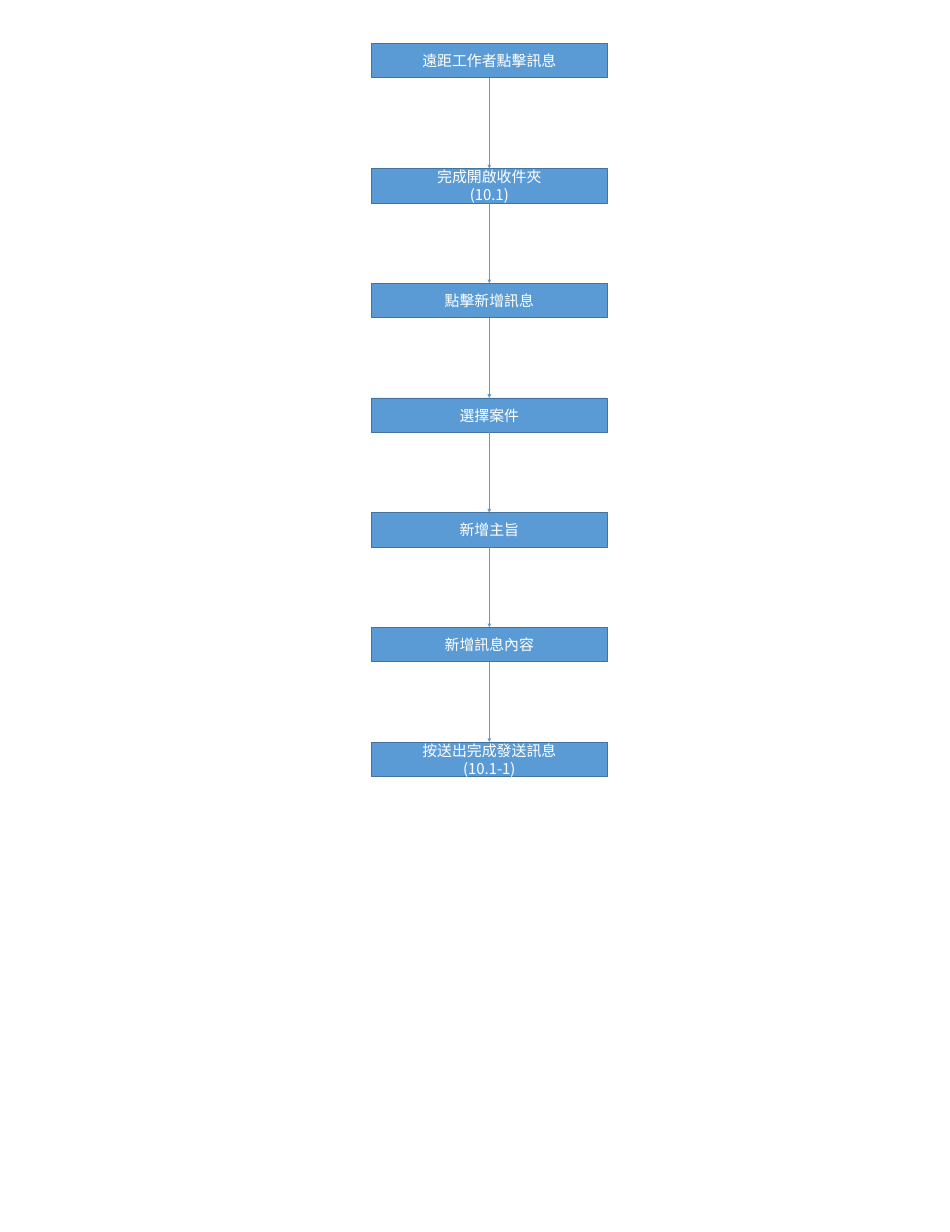
from itertools import pairwise

from lxml.etree import SubElement
from pptx import Presentation
from pptx.dml.color import RGBColor
from pptx.enum.shapes import MSO_CONNECTOR, MSO_SHAPE
from pptx.enum.text import MSO_ANCHOR, PP_ALIGN
from pptx.oxml.ns import qn
from pptx.util import Inches, Pt

COLORS = {"step": "5B9BD5", "border": "43739E", "arrow": "5B9BD5", "text": "FFFFFF"}
FONT = "Noto Sans CJK SC"
FONT_FORMAT = {"name": FONT, "size": Pt(24)}
PARAGRAPH_FORMAT = {"alignment": PP_ALIGN.CENTER, "line_spacing": Pt(28.8)}
FRAME_FORMAT = {"word_wrap": True, "vertical_anchor": MSO_ANCHOR.MIDDLE}

STEP_LEFT, STEP_WIDTH, STEP_HEIGHT = 8.31, 5.28, 0.77
START_TOP, SECOND_TOP, STEP_PITCH = 0.97, 3.77, 2.566
START = ["遠距工作者點擊訊息"]
FOLLOWING_STEPS = [
    ["完成開啟收件夾", "(10.1)"],
    ["點擊新增訊息"],
    ["選擇案件"],
    ["新增主旨"],
    ["新增訊息內容"],
    ["按送出完成發送訊息", "(10.1-1)"],
]
TOP_SITE, BOTTOM_SITE = 0, 2


def apply_format(target, values):
    for attribute, value in values.items():
        setattr(target, attribute, value)


class Flowchart:
    def __init__(self, slide, colors):
        self.slide = slide
        self.colors = {name: RGBColor.from_string(code) for name, code in colors.items()}

    def outline(self, line, color, width):
        line.color.rgb = self.colors[color]
        line.width = Pt(width)

    def step(self, top, lines):
        box = self.slide.shapes.add_shape(
            MSO_SHAPE.RECTANGLE, Inches(STEP_LEFT), Inches(top),
            Inches(STEP_WIDTH), Inches(STEP_HEIGHT))
        box.shadow.inherit = False
        box.fill.solid()
        box.fill.fore_color.rgb = self.colors["step"]
        self.outline(box.line, "border", 1)
        frame = box.text_frame
        apply_format(frame, FRAME_FORMAT)
        frame.text = "\n".join(lines)
        for paragraph in frame.paragraphs:
            apply_format(paragraph, PARAGRAPH_FORMAT)
            for run in paragraph.runs:
                self.style_run(run)
        return box

    def style_run(self, run):
        """Set the font for both Latin and East Asian characters."""
        apply_format(run.font, FONT_FORMAT)
        run.font.color.rgb = self.colors["text"]
        SubElement(run.font._element, qn("a:ea"), typeface=FONT)

    def arrow(self, source, target):
        connector = self.slide.shapes.add_connector(MSO_CONNECTOR.STRAIGHT, 0, 0, 0, 0)
        connector.begin_connect(source, BOTTOM_SITE)
        connector.end_connect(target, TOP_SITE)
        self.outline(connector.line, "arrow", 0.5)
        SubElement(connector.line._get_or_add_ln(), qn("a:tailEnd"), type="triangle")
        SubElement(connector._element.spPr, qn("a:effectLst"))


def main():
    presentation = Presentation()
    presentation.slide_width = Inches(21.26)
    presentation.slide_height = Inches(27.56)
    blank_layout = presentation.slide_layouts[6]
    flowchart = Flowchart(presentation.slides.add_slide(blank_layout), COLORS)

    steps = [flowchart.step(START_TOP, START)]
    for row, lines in enumerate(FOLLOWING_STEPS):
        steps.append(flowchart.step(SECOND_TOP + row * STEP_PITCH, lines))
    for source, target in pairwise(steps):
        flowchart.arrow(source, target)

    presentation.save("out.pptx")


if __name__ == "__main__":
    main()
